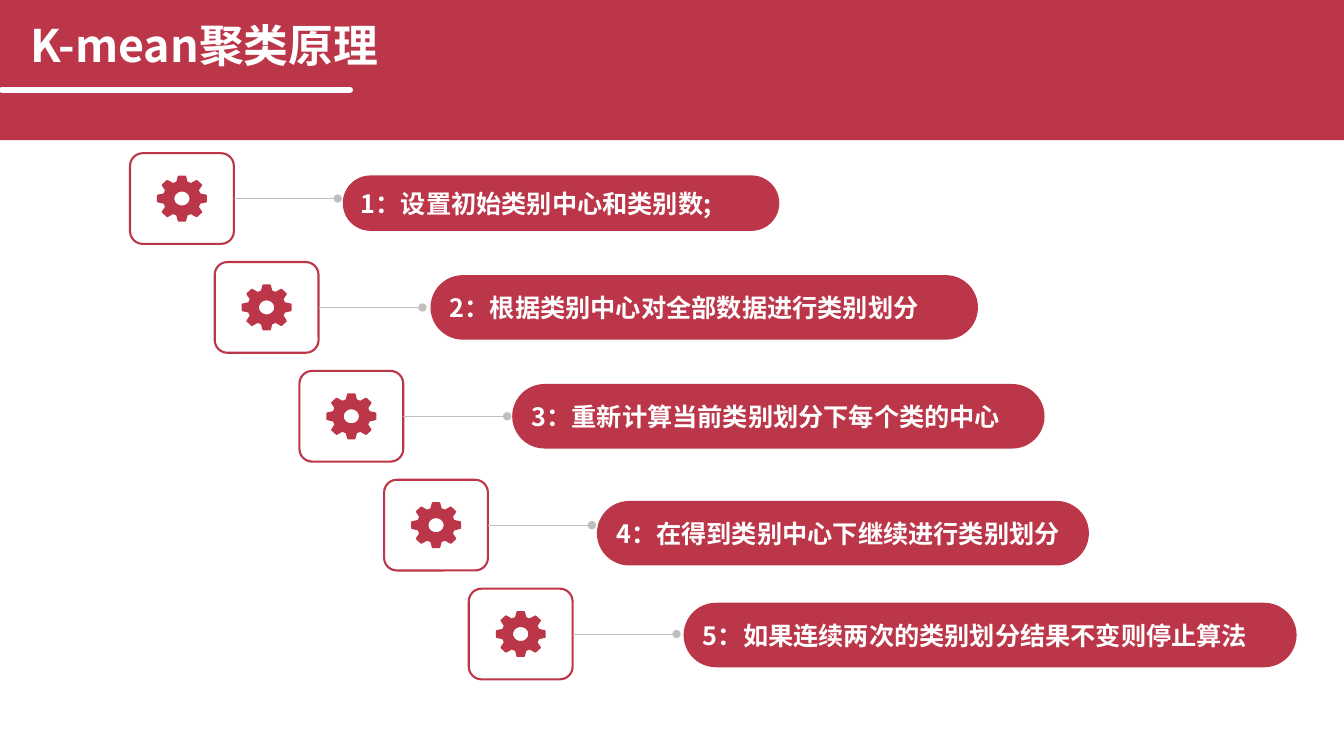
import math
from dataclasses import dataclass

import pptx
import pptx.dml.color
import pptx.enum.shapes
import pptx.enum.text
import pptx.oxml.ns
import pptx.util
from lxml import etree

Inches = pptx.util.Inches
Pt = pptx.util.Pt
Kind = pptx.enum.shapes.MSO_SHAPE
Anchor = pptx.enum.text.MSO_ANCHOR
qn = pptx.oxml.ns.qn


@dataclass(frozen=True)
class Theme:
    red: str = "BC3649"
    white: str = "FFFFFF"
    grey: str = "BFBFBF"
    font: str = "Noto Sans CJK SC"
    title: float = 32
    body: float = 18


THEME = Theme()
STEPS = [  # text, then left, top, width and height of its pill
    ("1：设置初始类别中心和类别数;", (3.4, 1.74, 4.33, 0.55)),
    ("2：根据类别中心对全部数据进行类别划分", (4.27, 2.73, 5.43, 0.64)),
    ("3：重新计算当前类别划分下每个类的中心", (5.08, 3.81, 5.28, 0.64)),
    ("4：在得到类别中心下继续进行类别划分", (5.92, 4.97, 4.88, 0.64)),
    ("5：如果连续两次的类别划分结果不变则停止算法", (6.78, 5.98, 6.08, 0.64)),
]
# One gear tooth: degrees from its axis, share of the full radius
TOOTH = [(-17, 0.76), (-10, 0.97), (-8, 1), (8, 1), (10, 0.97), (17, 0.76)]


def color(code):
    return pptx.dml.color.RGBColor.from_string(code)


def write(shape, text, size=THEME.body, fill=THEME.white, bold=True,
          anchor=Anchor.MIDDLE):
    frame = shape.text_frame
    frame.word_wrap = True
    frame.vertical_anchor = anchor
    para = frame.paragraphs[0]
    para.alignment = pptx.enum.text.PP_ALIGN.LEFT
    run = para.add_run()
    run.text = text
    font = run.font
    font.name, font.size, font.bold = THEME.font, Pt(size), bold
    font.color.rgb = color(fill)
    east = etree.SubElement(run._r.get_or_add_rPr(), qn("a:ea"))
    east.set("typeface", THEME.font)


def paint(shape, fill, line=None, width=1.5):
    shape.shadow.inherit = False
    shape.fill.solid()
    shape.fill.fore_color.rgb = color(fill)
    if line:
        shape.line.color.rgb = color(line)
        shape.line.width = Pt(width)
    else:
        shape.line.fill.background()


def block(slide, kind, box, fill, line=None, adj=None):
    shape = slide.shapes.add_shape(kind, *map(Inches, box))
    paint(shape, fill, line)
    if adj is not None:
        shape.adjustments[0] = adj
    return shape


def link(slide, start, end, line, width, cap=None, tail=None):
    wire = slide.shapes.add_connector(
        pptx.enum.shapes.MSO_CONNECTOR.STRAIGHT, *map(Inches, start + end))
    wire.line.color.rgb = color(line)
    wire.line.width = Pt(width)
    stroke = wire.line._get_or_add_ln()
    if cap:
        stroke.set("cap", cap)
    if tail:
        etree.SubElement(stroke, qn("a:tailEnd")).set("type", tail)
    etree.SubElement(wire._element.spPr, qn("a:effectLst"))
    return wire


def gear(slide, box):
    left, top, width, height = box

    def spot(angle, reach):
        turn = math.radians(angle)
        return (Inches(left + width / 2 * (1 + reach * math.sin(turn))),
                Inches(top + height / 2 * (1 - reach * math.cos(turn))))

    rim = [spot(45 * i + turn, reach) for i in range(8) for turn, reach in TOOTH]
    hole = [spot(-10 * i, 0.3) for i in range(36)]
    form = slide.shapes.build_freeform(*rim[0])
    form.add_line_segments(rim[1:], close=True)
    form.move_to(*hole[0])
    form.add_line_segments(hole[1:], close=True)
    paint(form.convert_to_shape(), THEME.red)


def header(slide, box):
    left, top, width, height = box
    block(slide, Kind.RECTANGLE, box, THEME.red)
    title = slide.shapes.add_textbox(
        *map(Inches, (left + 0.2, top + 0.13, 5.24, 1)))
    write(title, "K-mean聚类原理", size=THEME.title, anchor=Anchor.TOP)
    link(slide, (left + 0.02, top + 0.89), (left + 3.47, top + 0.89),
         THEME.white, 4.5, cap="rnd")


def step(slide, box, text, pill):
    left, top, width, height = box
    label = block(slide, Kind.ROUNDED_RECTANGLE, pill, THEME.red, adj=0.5)
    write(label, text)
    card = block(slide, Kind.ROUNDED_RECTANGLE, box, THEME.white,
                 line=THEME.red, adj=0.14)
    side, mid = left + width, top + height / 2
    wire = link(slide, (side, mid), (side + 1.03, mid), THEME.grey, 0.25,
                tail="oval")
    wire.begin_connect(card, 3)
    gear(slide, (left + (width - 0.5) / 2, mid - 0.23, 0.5, 0.46))


def main():
    deck = pptx.Presentation()
    deck.slide_width, deck.slide_height = Inches(13.33), Inches(7.5)
    slide = deck.slides.add_slide(deck.slide_layouts[6])
    header(slide, (0, 0, 13.33, 1.39))
    for i, (text, pill) in enumerate(STEPS):
        step(slide, (1.29 + 0.84 * i, 1.52 + 1.08 * i, 1.03, 0.9), text, pill)
    deck.save("out.pptx")


if __name__ == "__main__":
    main()
